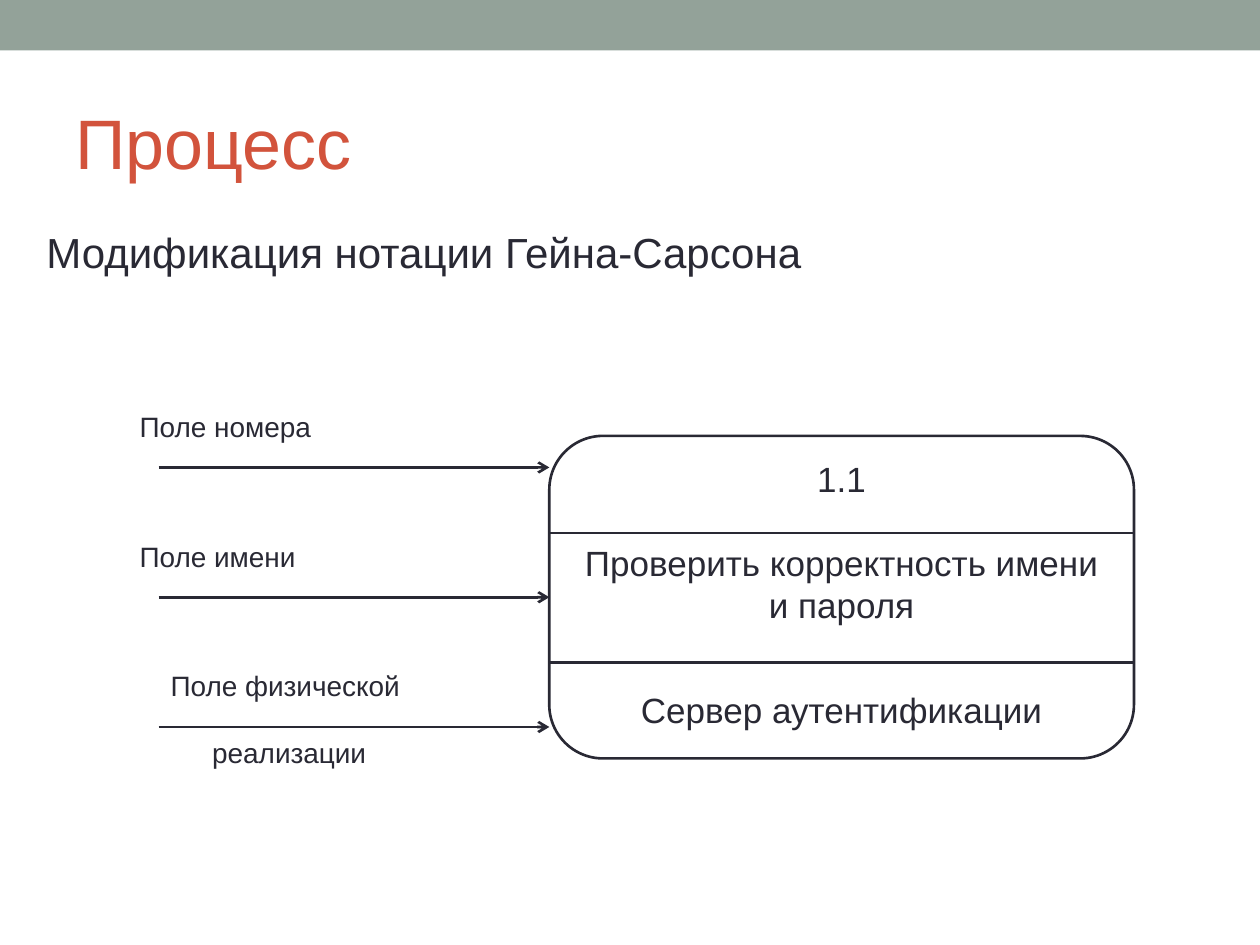
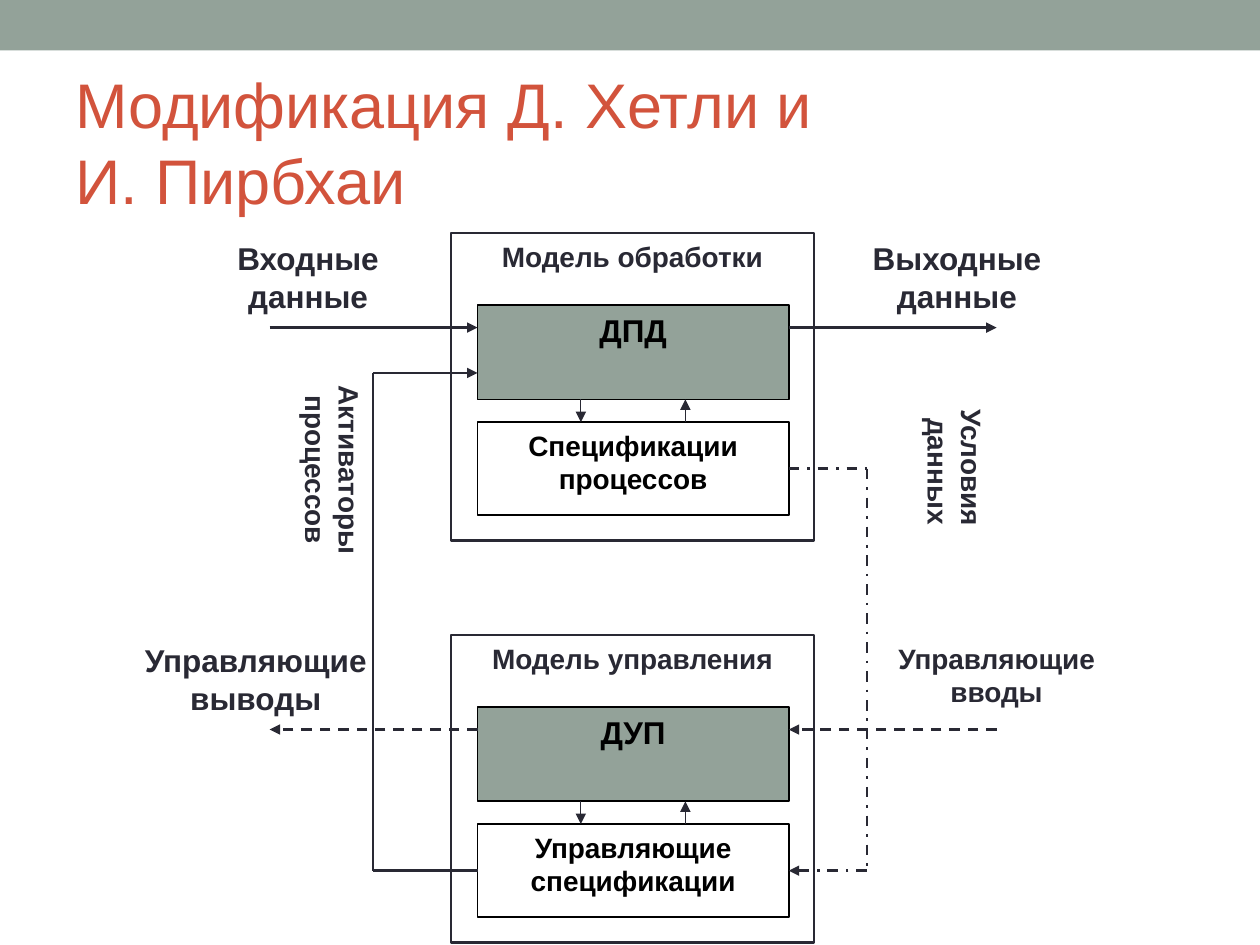
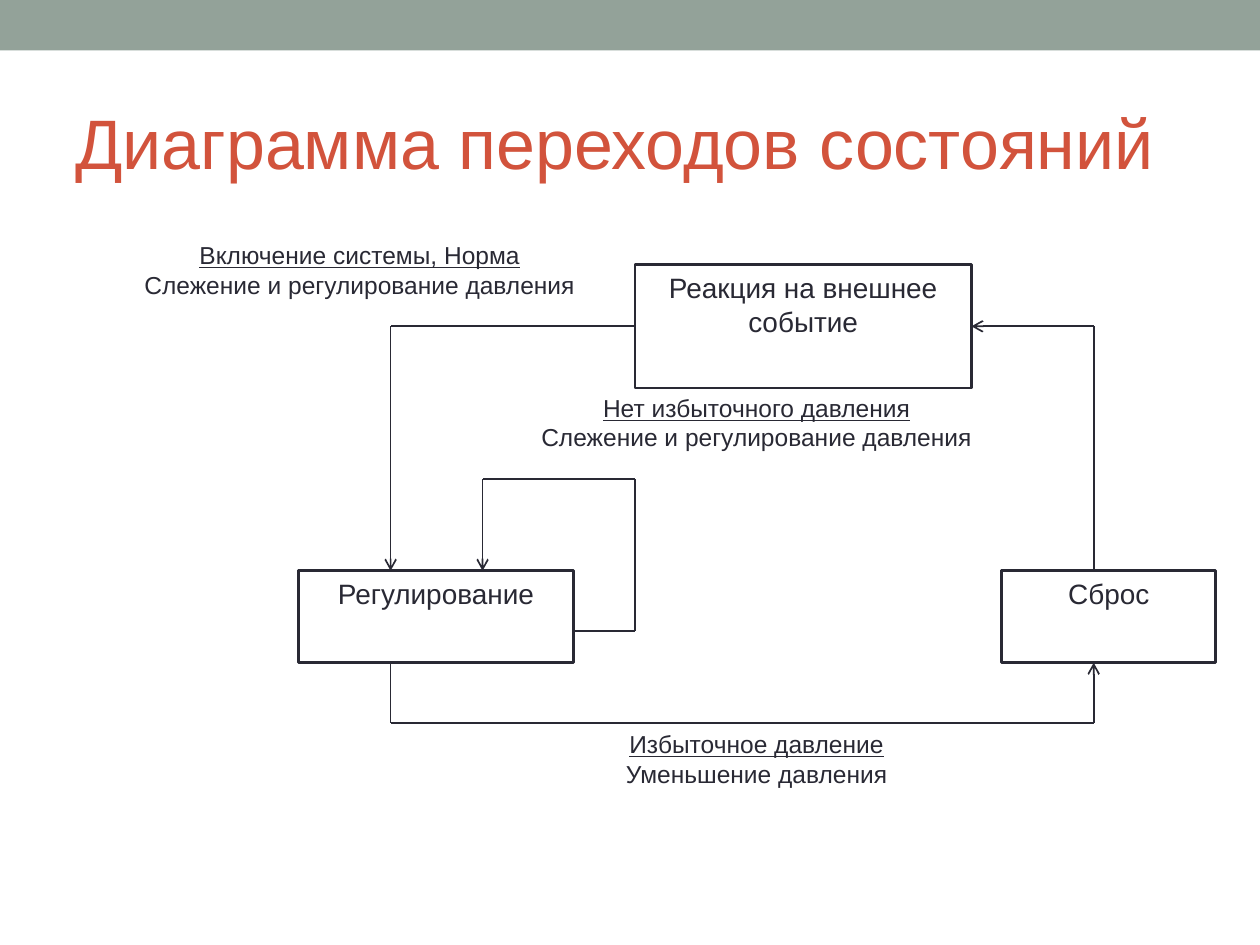
"""Build three slides on process notation, control models and state transitions."""
from lxml import etree
from pptx import Presentation
from pptx import util as u
from pptx.dml.color import RGBColor
from pptx.enum import dml, shapes, text
from pptx.oxml import ns

INK, SAGE, RUST, BLACK, WHITE = "292934", "93A299", "D2533C", "000000", "FFFFFF"
RECT, ROUND = shapes.MSO_SHAPE.RECTANGLE, shapes.MSO_SHAPE.ROUNDED_RECTANGLE
CENTER, LEFT = text.PP_ALIGN.CENTER, text.PP_ALIGN.LEFT
DASH, DASH_DOT = dml.MSO_LINE.DASH, dml.MSO_LINE.DASH_DOT
rgb = RGBColor.from_string


def box(s, at, lines=(), size=16, color=INK, kind=None, fill=None, line=None, width=1.5,
        align=CENTER, gaps=(), anchor=text.MSO_ANCHOR.TOP, **fmt):
    at = [u.Inches(v) for v in at]
    if kind is None:
        sp = s.shapes.add_textbox(*at)
    else:
        sp = s.shapes.add_shape(kind, *at)
        sp.shadow.inherit = False
        if fill:
            sp.fill.solid()
            sp.fill.fore_color.rgb = rgb(fill)
        else:
            sp.fill.background()
        if line:
            sp.line.color.rgb = rgb(line)
            sp.line.width = u.Pt(width)
        else:
            sp.line.fill.background()
    tf = sp.text_frame
    tf.word_wrap = True
    tf.vertical_anchor = anchor
    for i, words in enumerate(lines):
        p = tf.add_paragraph() if i else tf.paragraphs[0]
        p.text = words
        p.alignment = align
        if gaps:
            p.space_before = u.Pt(gaps[i])
        for r in p.runs:
            for key, value in dict(name="Arial", size=u.Pt(size), **fmt).items():
                setattr(r.font, key, value)
            r.font.color.rgb = rgb(color)
    return sp


def route(s, points, width=1.5, head=None, dash=None, start=None, end=None):
    for a, b in zip(points, points[1:]):
        c = s.shapes.add_connector(shapes.MSO_CONNECTOR.STRAIGHT, *[u.Inches(v) for v in a + b])
        c.line.color.rgb = rgb(INK)
        c.line.width = u.Pt(width)
        if dash:
            c.line.dash_style = dash
        if start and a == points[0]:
            c.begin_connect(*start)
        if b == points[-1]:
            if end:
                c.end_connect(*end)
            if head:
                etree.SubElement(c.line._get_or_add_ln(), ns.qn("a:tailEnd"), type=head)
        etree.SubElement(c._element.spPr, ns.qn("a:effectLst"))


prs = Presentation()
prs.slide_width, prs.slide_height = u.Inches(10), u.Inches(7.5)
for title, size in [("Процесс", 40), ("Модификация Д. Хетли и\nИ. Пирбхаи", 36),
                    ("Диаграмма переходов состояний", 40)]:
    s = prs.slides.add_slide(prs.slide_layouts[6])
    box(s, (0, 0, 10, 0.4), kind=RECT, fill=SAGE)
    box(s, (0.5, 0.58, 9, 1.08), [title], size, RUST, align=LEFT, anchor=text.MSO_ANCHOR.MIDDLE)

s = prs.slides[0]
box(s, (0.27, 1.75, 9.45, 0.74), ["Модификация нотации Гейна-Сарсона"], 24, align=LEFT, gaps=[6])
process = box(s, (4.36, 3.46, 4.64, 2.56),
              ["1.1", "Проверить корректность имени и пароля", "Сервер аутентификации"],
              20, kind=ROUND, line=INK, gaps=[0, 24, 36])
for y in (4.23, 5.26):
    route(s, [(4.36, y), (9, y)])
for y, end in [(3.71, None), (4.74, (process, 1)), (5.77, None)]:
    route(s, [(1.26, y), (4.36, y)], head="arrow", end=end)
for y, label in [(3.2, "Поле номера"), (4.23, "Поле имени")]:
    box(s, (1.01, y, 2.58, 0.77), [label], align=LEFT)
box(s, (0.75, 5.26, 3.09, 1.03), ["Поле физической ", "реализации"], gaps=[0, 19])

s = prs.slides[1]
specs = []
for y, model, diagram, spec in [
        (1.85, "Модель обработки", "ДПД", "Спецификации процессов"),
        (5.04, "Модель управления", "ДУП", "Управляющие спецификации")]:
    box(s, (3.58, y, 2.88, 2.44), [model], kind=RECT, line=INK, bold=True)
    box(s, (3.79, y + 0.57, 2.47, 0.75), [diagram], 18, BLACK, RECT, SAGE, BLACK, 1, bold=True)
    specs.append(box(s, (3.79, y + 1.5, 2.47, 0.74), [spec], 16, BLACK, RECT, WHITE, BLACK, 1,
                     bold=True))
    route(s, [(4.61, y + 1.32), (4.61, y + 1.5)], 0.75, "triangle")
    route(s, [(5.44, y + 1.5), (5.44, y + 1.32)], 0.75, "triangle")
for x1, x2, y, dash in [(2.14, 3.79, 2.6, None), (6.26, 7.91, 2.6, None),
                        (7.91, 6.26, 5.79, DASH), (3.79, 2.14, 5.79, DASH)]:
    route(s, [(x1, y), (x2, y)], head="triangle", dash=dash)
for x, y, w, label, size in [
        (1.52, 1.85, 1.85, "Входные данные", 18), (6.67, 1.85, 1.85, "Выходные данные", 18),
        (0.9, 5.04, 2.26, "Управляющие выводы", 18), (6.88, 5.04, 2.06, "Управляющие вводы", 16)]:
    box(s, (x, y, w, 0.94), [label], size, bold=True)
for at, lines in [((2.14, 2.96, 0.82, 2.06), ["Активаторы процессов"]),
                  ((7.08, 3.15, 0.82, 2.25), ["Условия", " данных"])]:
    tf = box(s, at, lines, bold=True).text_frame
    tf.margin_left = tf.margin_right = u.Inches(0.05)
    tf.margin_top = tf.margin_bottom = u.Inches(0.1)
    tf._txBody.bodyPr.set("vert", "eaVert")
route(s, [(3.79, 6.91), (2.96, 6.91), (2.96, 2.96), (3.79, 2.96)], head="triangle",
      start=(specs[1], 1))
route(s, [(6.26, 3.72), (6.88, 3.72), (6.88, 6.91), (6.26, 6.91)], head="triangle",
      dash=DASH_DOT, start=(specs[0], 3), end=(specs[1], 3))

s = prs.slides[2]
reaction, control, release = [
    box(s, at, [label], kind=RECT, line=INK) for at, label in [
        ((5.04, 2.1, 2.67, 0.98), "Реакция на внешнее событие"),
        ((2.37, 4.53, 2.18, 0.73), "Регулирование"),
        ((7.95, 4.53, 1.7, 0.73), "Сброс")]]
route(s, [(5.04, 2.59), (3.1, 2.59), (3.1, 4.53)], 1, "arrow", start=(reaction, 1))
route(s, [(3.1, 5.26), (3.1, 5.74), (8.68, 5.74), (8.68, 5.26)], 1, "arrow")
route(s, [(8.68, 4.53), (8.68, 2.59), (7.71, 2.59)], 1, "arrow", end=(reaction, 3))
route(s, [(4.55, 5.01), (5.04, 5.01), (5.04, 3.8), (3.83, 3.8), (3.83, 4.53)], 1, "arrow")
for x, y, event, action in [
        (0.43, 1.86, "Включение системы, Норма", "Слежение и регулирование давления"),
        (3.58, 3.07, "Нет избыточного давления", "Слежение и регулирование давления"),
        (3.58, 5.74, "Избыточное давление", "Уменьшение давления")]:
    sp = box(s, (x, y, 4.85, 0.97), [event, action], 14)
    sp.text_frame.paragraphs[0].runs[0].font.underline = True

prs.save("out.pptx")
